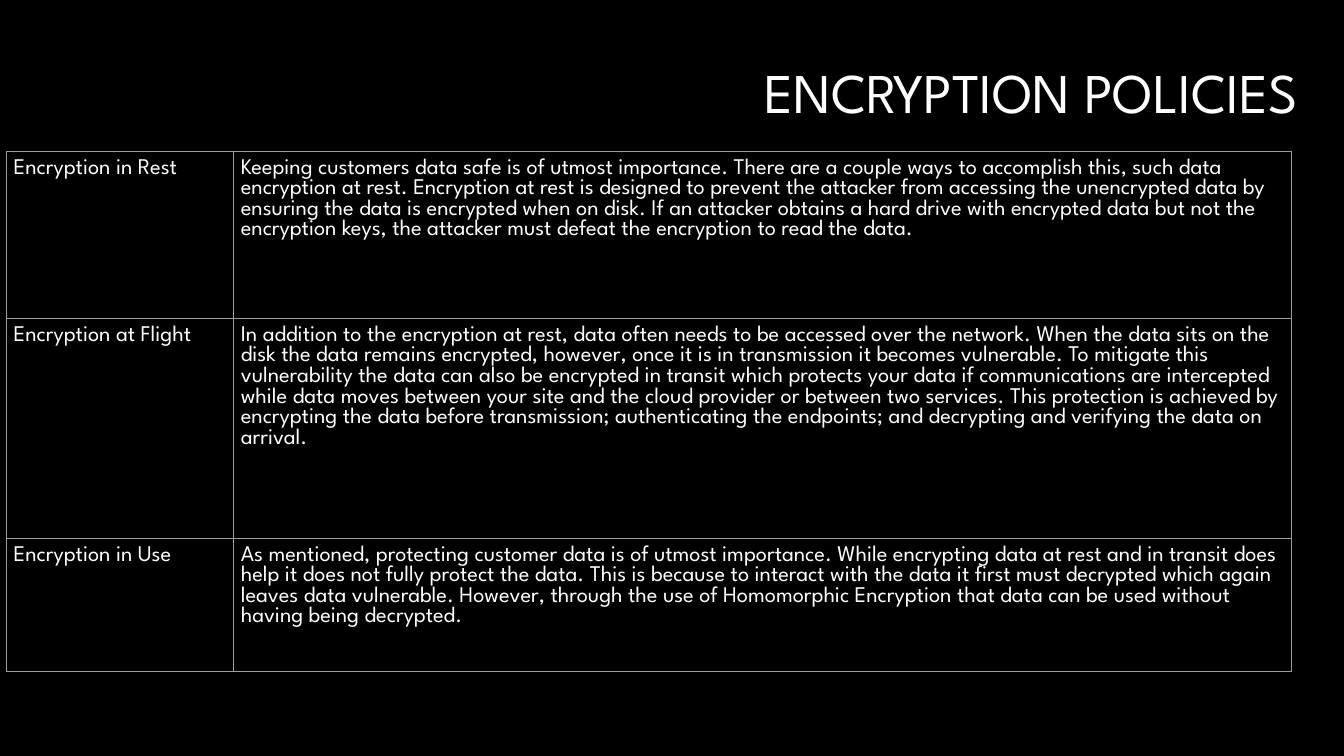
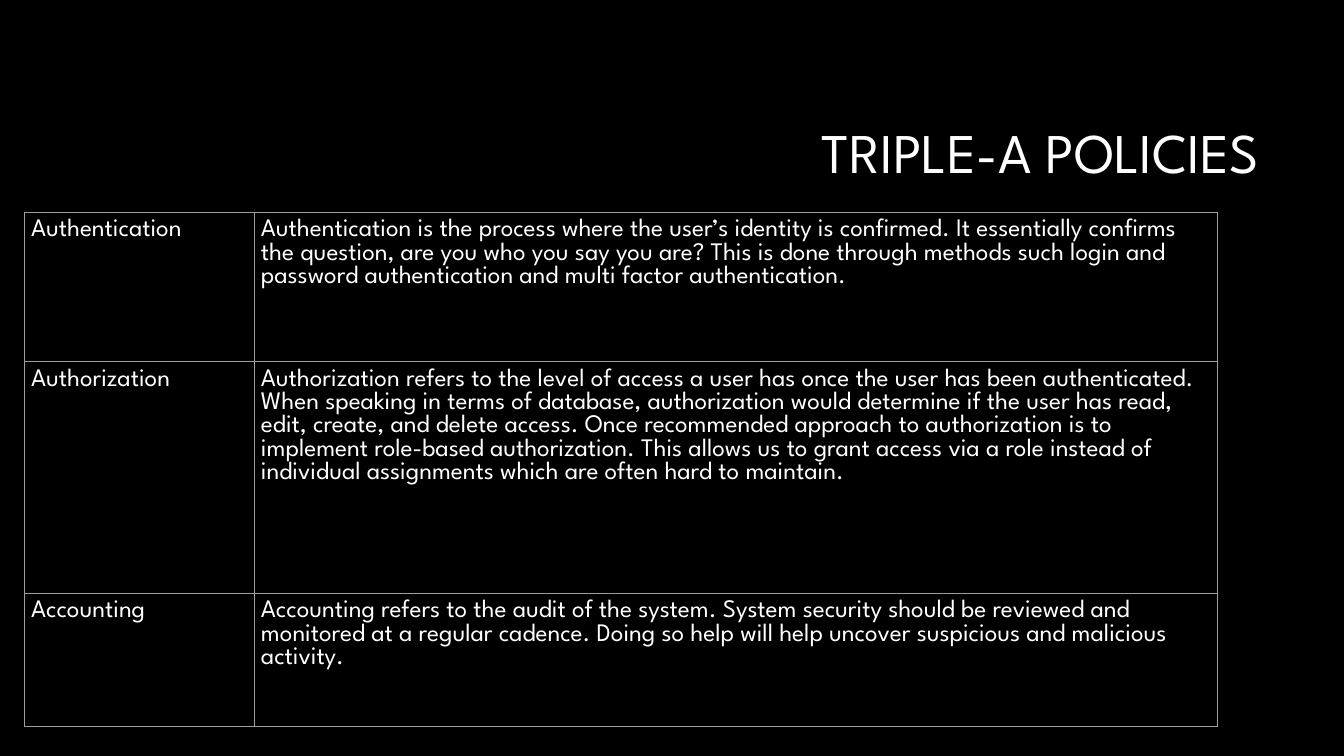
import pptx
import pptx.util
import pptx.dml.color
import pptx.enum.text
import pptx.oxml.ns
import lxml.etree

COLORS = {"background": "000000", "text": "FFFFFF", "border": "9E9E9E"}
FONT = "League Spartan"
TITLE_SIZE = 40
BORDER_WIDTH = pptx.util.Pt(0.75)
CELL_MARGIN = pptx.util.Inches(0.07)

# Shares of the slide's size, in percent
TITLE_WIDTH, TITLE_HEIGHT = 70.65, 18.8
TABLE_DROP = 16.87  # from the title's top to the table's top

POLICIES = [
    {
        "title": "ENCRYPTION POLICIES",
        "title_at": (26.7, 3.2),
        "table_left": 0.5,
        "columns": (16.9, 78.7),
        "rows": (22.1, 29.1, 17.5),
        "text_size": 16,
        "cells": [
            ("Encryption in Rest",
             "Keeping customers data safe is of utmost importance. There are a couple ways to "
             "accomplish this, such data encryption at rest. Encryption at rest is designed to "
             "prevent the attacker from accessing the unencrypted data by ensuring the data is "
             "encrypted when on disk. If an attacker obtains a hard drive with encrypted data but "
             "not the encryption keys, the attacker must defeat the encryption to read the data."),
            ("Encryption at Flight",
             "In addition to the encryption at rest, data often needs to be accessed over the "
             "network. When the data sits on the disk the data remains encrypted, however, once it "
             "is in transmission it becomes vulnerable. To mitigate this vulnerability the data can "
             "also be encrypted in transit which protects your data if communications are "
             "intercepted while data moves between your site and the cloud provider or between two "
             "services. This protection is achieved by encrypting the data before transmission; "
             "authenticating the endpoints; and decrypting and verifying the data on arrival."),
            ("Encryption in Use",
             "As mentioned, protecting customer data is of utmost importance. While encrypting data "
             "at rest and in transit does help it does not fully protect the data. This is because "
             "to interact with the data it first must decrypted which again leaves data vulnerable. "
             "However, through the use of Homomorphic Encryption that data can be used without "
             "having being decrypted."),
        ],
    },
    {
        "title": "TRIPLE-A POLICIES",
        "title_at": (23.8, 11.2),
        "table_left": 1.8,
        "columns": (17.1, 71.7),
        "rows": (19.8, 30.6, 17.6),
        "text_size": 18,
        "cells": [
            ("Authentication",
             "Authentication is the process where the user’s identity is confirmed. It essentially "
             "confirms the question, are you who you say you are? This is done through methods such "
             "login and password authentication and multi factor authentication."),
            ("Authorization",
             "Authorization refers to the level of access a user has once the user has been "
             "authenticated. When speaking in terms of database, authorization would determine if "
             "the user has read, edit, create, and delete access. Once recommended approach to "
             "authorization is to implement role-based authorization. This allows us to grant "
             "access via a role instead of individual assignments which are often hard to maintain."),
            ("Accounting",
             "Accounting refers to the audit of the system. System security should be reviewed and "
             "monitored at a regular cadence. Doing so help will help uncover suspicious and "
             "malicious activity."),
        ],
    },
]


def style_paragraph(paragraph, size):
    paragraph.font.name = FONT
    paragraph.font.size = pptx.util.Pt(size)
    paragraph.font.color.rgb = pptx.dml.color.RGBColor.from_string(COLORS["text"])


def add_borders(cell):
    properties = cell._tc.get_or_add_tcPr()
    for side in ("a:lnL", "a:lnR", "a:lnT", "a:lnB"):
        line = lxml.etree.SubElement(properties, pptx.oxml.ns.qn(side), w=str(BORDER_WIDTH))
        fill = lxml.etree.SubElement(line, pptx.oxml.ns.qn("a:solidFill"))
        lxml.etree.SubElement(fill, pptx.oxml.ns.qn("a:srgbClr"), val=COLORS["border"])


presentation = pptx.Presentation()
presentation.slide_width = pptx.util.Inches(13.33)
presentation.slide_height = pptx.util.Inches(7.5)
across = presentation.slide_width / 100
down = presentation.slide_height / 100

# Black background for every slide
background = presentation.slide_master.background.fill
background.solid()
background.fore_color.rgb = pptx.dml.color.RGBColor.from_string(COLORS["background"])

for policy in POLICIES:
    slide = presentation.slides.add_slide(presentation.slide_layouts.get_by_name("Title Only"))

    # Title, right-aligned above the table
    title = slide.shapes.title
    title_left, title_top = policy["title_at"]
    title.left, title.top = int(title_left * across), int(title_top * down)
    title.width, title.height = int(TITLE_WIDTH * across), int(TITLE_HEIGHT * down)
    title.text_frame.text = policy["title"]
    title.text_frame.vertical_anchor = pptx.enum.text.MSO_ANCHOR.MIDDLE
    paragraph = title.text_frame.paragraphs[0]
    paragraph.alignment = pptx.enum.text.PP_ALIGN.RIGHT
    paragraph.line_spacing = 0.9
    style_paragraph(paragraph, TITLE_SIZE)

    # Table of terms and explanations
    table = slide.shapes.add_table(
        len(policy["rows"]), len(policy["columns"]),
        int(policy["table_left"] * across), int((title_top + TABLE_DROP) * down),
        int(sum(policy["columns"]) * across), int(sum(policy["rows"]) * down)).table
    table.first_row = False
    table.horz_banding = False
    for column, share in zip(table.columns, policy["columns"]):
        column.width = int(share * across)
    for row, share, texts in zip(table.rows, policy["rows"], policy["cells"]):
        row.height = int(share * down)
        for cell, text in zip(row.cells, texts):
            cell.text = text
            cell.margin_left = cell.margin_right = CELL_MARGIN
            cell.margin_top = cell.margin_bottom = CELL_MARGIN
            add_borders(cell)
            cell.fill.background()
            style_paragraph(cell.text_frame.paragraphs[0], policy["text_size"])

presentation.save("out.pptx")
